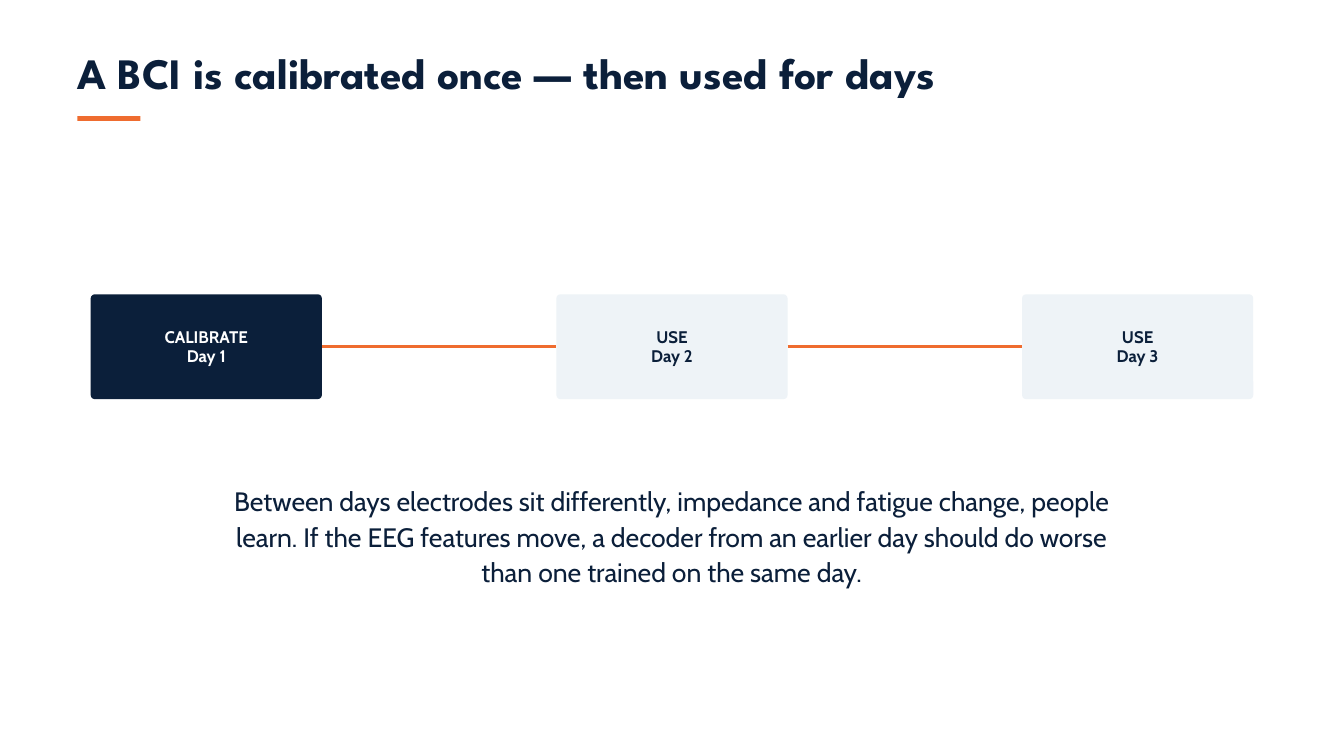
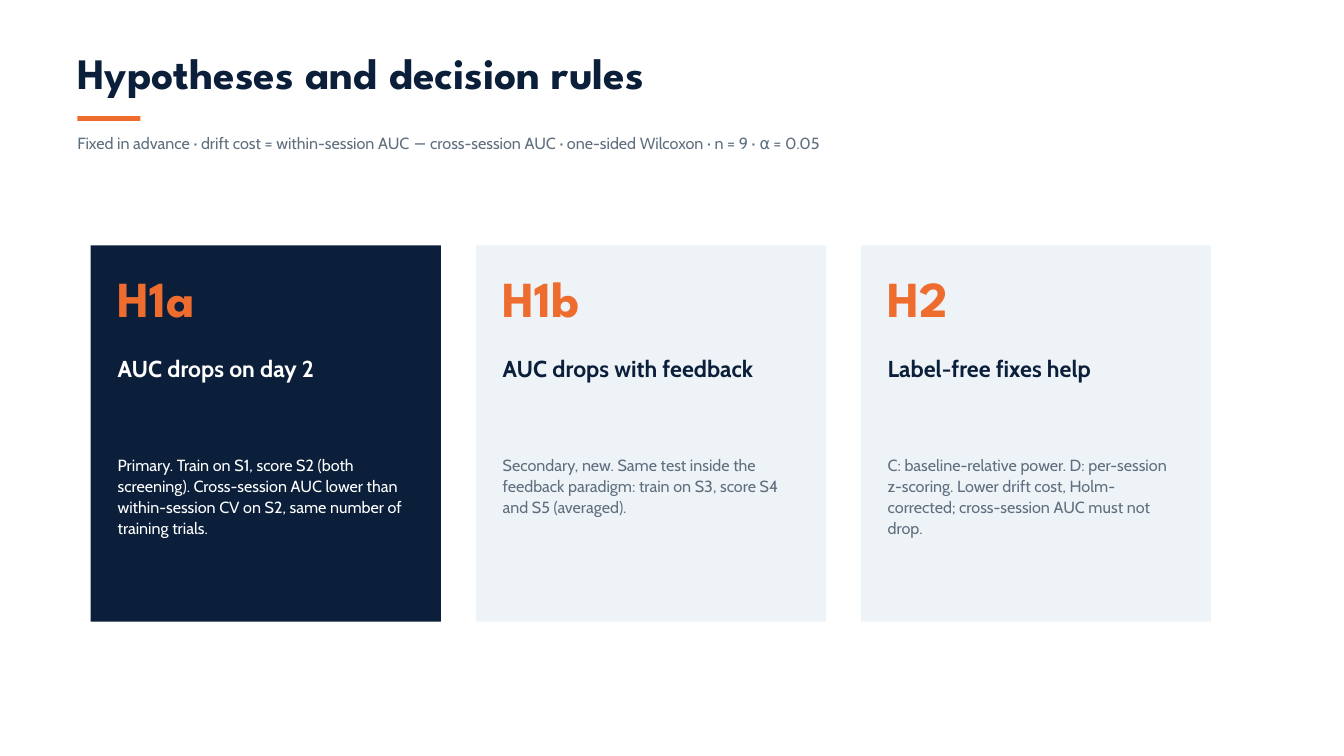
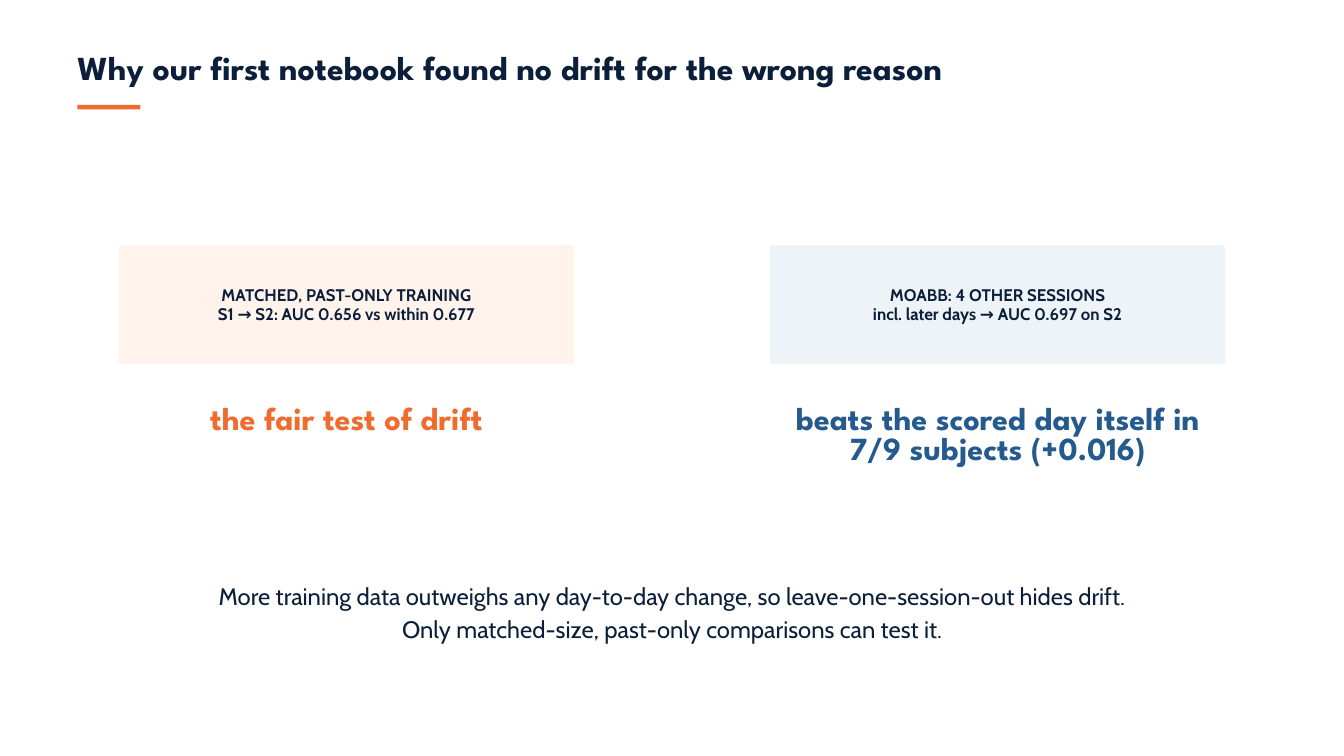
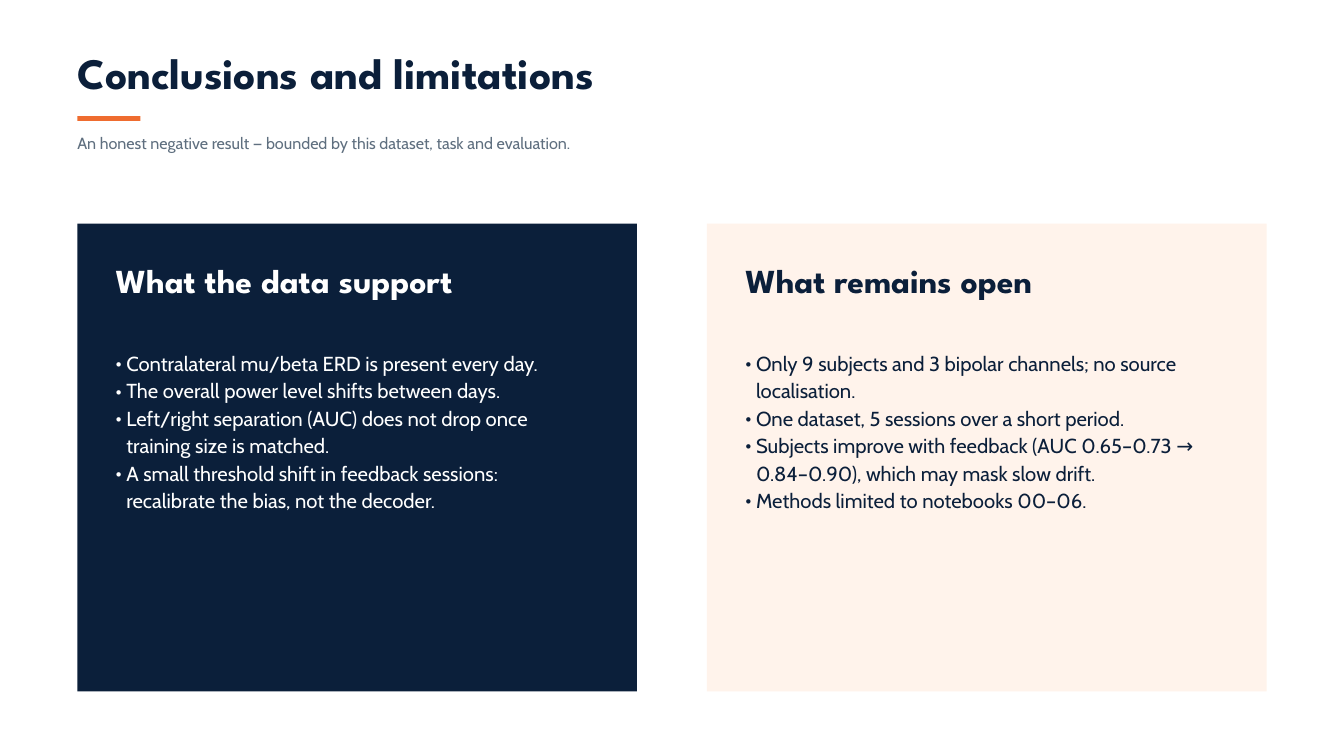
"""Build four slides on calibration drift in brain-computer interfaces."""
from typing import NamedTuple

from lxml import etree
from pptx import Presentation
from pptx.dml.color import RGBColor
from pptx.enum.shapes import MSO_CONNECTOR, MSO_SHAPE
from pptx.enum.text import MSO_ANCHOR, MSO_AUTO_SIZE, PP_ALIGN
from pptx.oxml.ns import qn
from pptx.util import Inches, Pt

LEFT, CENTER = PP_ALIGN.LEFT, PP_ALIGN.CENTER
TOP, MIDDLE = MSO_ANCHOR.TOP, MSO_ANCHOR.MIDDLE
RECT, ROUND = MSO_SHAPE.RECTANGLE, MSO_SHAPE.ROUNDED_RECTANGLE
STRAIGHT = MSO_CONNECTOR.STRAIGHT
NO_FIT = MSO_AUTO_SIZE.NONE

NAVY, ORANGE, BLUE = "0B1F3A", "EF6C2F", "245A8D"
GREY, WHITE, PALE, PEACH = "5F6F7F", "FFFFFF", "EEF3F7", "FFF3EB"
HEAD, BODY = "League Spartan", "Cabin"
MARGIN = 1.15
HANG = 0.16


class Box(NamedTuple):
    left: float
    top: float
    width: float
    height: float


class Style(NamedTuple):
    font: str
    size: float
    line: float
    bold: bool = False


class Step(NamedTuple):
    lines: list[str]
    fill: str
    ink: str


class Rule(NamedTuple):
    code: str
    claim: str
    detail: str
    fill: str
    ink: str
    soft: str


class Case(NamedTuple):
    lines: list[str]
    fill: str
    verdict: str
    tone: str


class Panel(NamedTuple):
    title: str
    points: list[str]
    fill: str
    ink: str


TITLE = Style(HEAD, 46.5, 48.8, True)
SMALL = Style(HEAD, 36, 37.8, True)
NOTE = Style(BODY, 17.25, 22.4)
LABEL = Style(BODY, 18, 20.7, True)
CODE = Style(HEAD, 54, 51.3, True)
CLAIM = Style(BODY, 24.75, 33.4, True)
VERDICT = Style(HEAD, 34.5, 32.8, True)
POINT = Style(BODY, 21.75, 29.4)

STEPS = [
    Step(["CALIBRATE", "Day 1"], NAVY, WHITE),
    Step(["USE", "Day 2"], PALE, NAVY),
    Step(["USE", "Day 3"], PALE, NAVY),
]
RULES = [
    Rule("H1a", "AUC drops on day 2",
         "Primary. Train on S1, score S2 (both screening). Cross-session AUC lower than "
         "within-session CV on S2, same number of training trials.",
         NAVY, WHITE, WHITE),
    Rule("H1b", "AUC drops with feedback",
         "Secondary, new. Same test inside the feedback paradigm: train on S3, score S4 "
         "and S5 (averaged).",
         PALE, NAVY, GREY),
    Rule("H2", "Label-free fixes help",
         "C: baseline-relative power. D: per-session z-scoring. Lower drift cost, "
         "Holm-corrected; cross-session AUC must not drop.",
         PALE, NAVY, GREY),
]
CASES = [
    Case(["MATCHED, PAST-ONLY TRAINING", "S1 → S2: AUC 0.656 vs within 0.677"],
         PEACH, "the fair test of drift", ORANGE),
    Case(["MOABB: 4 OTHER SESSIONS", "incl. later days → AUC 0.697 on S2"],
         PALE, "beats the scored day itself in 7/9 subjects (+0.016)", BLUE),
]
PANELS = [
    Panel("What the data support", [
        "Contralateral mu/beta ERD is present every day.",
        "The overall power level shifts between days.",
        "Left/right separation (AUC) does not drop once training size is matched.",
        "A small threshold shift in feedback sessions: recalibrate the bias, not the decoder.",
    ], NAVY, WHITE),
    Panel("What remains open", [
        "Only 9 subjects and 3 bipolar channels; no source localisation.",
        "One dataset, 5 sessions over a short period.",
        "Subjects improve with feedback (AUC 0.65–0.73 → 0.84–0.90), which may mask slow drift.",
        "Methods limited to notebooks 00–06.",
    ], PEACH, NAVY),
]


def paint(target, tone: str) -> None:
    if hasattr(target, "solid"):
        target.solid()
        target.fore_color.rgb = RGBColor.from_string(tone)
    else:
        target.rgb = RGBColor.from_string(tone)


def place(shape, box: Box) -> None:
    shape.left, shape.top, shape.width, shape.height = (Inches(v) for v in box)


def add_dot(para) -> None:
    props = para._p.get_or_add_pPr()
    props.set("marL", str(Inches(HANG)))
    props.set("indent", str(-Inches(HANG)))
    etree.SubElement(props, qn("a:buFont")).set("typeface", BODY)
    etree.SubElement(props, qn("a:buChar")).set("char", "•")


def write(frame, lines: list[str], style: Style, tone: str, align=LEFT,
          anchor=TOP, inset: float = 0, dots: bool = False) -> None:
    frame.word_wrap = True
    frame.auto_size = NO_FIT
    frame.vertical_anchor = anchor
    frame.margin_left = frame.margin_right = Inches(inset)
    frame.margin_top = frame.margin_bottom = Inches(inset)
    for index, line in enumerate(lines):
        para = frame.add_paragraph() if index else frame.paragraphs[0]
        para.alignment = align
        para.line_spacing = Pt(style.line)
        para.space_before = para.space_after = Pt(0)
        if dots:
            add_dot(para)
        run = para.add_run()
        run.text = line
        run.font.name = style.font
        run.font.size = Pt(style.size)
        run.font.bold = style.bold
        paint(run.font.color, tone)


def add_text(slide, box: Box, lines: list[str], style: Style, tone: str,
             align=LEFT, dots: bool = False) -> None:
    shape = slide.shapes.add_textbox(*(Inches(v) for v in box))
    write(shape.text_frame, lines, style, tone, align, dots=dots)


def add_block(slide, box: Box, fill: str, radius: float = 0):
    kind = ROUND if radius else RECT
    shape = slide.shapes.add_shape(kind, *(Inches(v) for v in box))
    if radius:
        shape.adjustments[0] = radius / box.height
    shape.shadow.inherit = False
    paint(shape.fill, fill)
    shape.line.fill.background()
    return shape


def add_label(slide, box: Box, lines: list[str], fill: str, ink: str, radius: float):
    shape = add_block(slide, box, fill, radius)
    write(shape.text_frame, lines, LABEL, ink, CENTER, MIDDLE, 0.06)
    return shape


def add_link(slide, start, end) -> None:
    link = slide.shapes.add_connector(STRAIGHT, 0, 0, 0, 0)
    link.begin_connect(start, 3)
    link.end_connect(end, 1)
    paint(link.line.fill, ORANGE)
    link.line.width = Pt(3.75)
    etree.SubElement(link._element.spPr, qn("a:effectLst"))


def add_slide(deck, title: str, note: str = "", style: Style = TITLE, bar: float = 1.73):
    slide = deck.slides.add_slide(deck.slide_layouts[5])
    place(slide.shapes.title, Box(MARGIN, 0.78, 15.62, 0.7))
    write(slide.shapes.title.text_frame, [title], style, NAVY)
    add_block(slide, Box(MARGIN, bar, 0.94, 0.07), ORANGE)
    if note:
        add_text(slide, Box(MARGIN, 1.96, 15.62, 0.3), [note], NOTE, GREY)
    return slide


def build_use(deck) -> None:
    slide = add_slide(deck, "A BCI is calibrated once — then used for days")
    last = None
    for index, step in enumerate(STEPS):
        box = Box(1.35 + 6.93 * index, 4.38, 3.44, 1.56)
        shape = add_label(slide, box, step.lines, step.fill, step.ink, 0.06)
        if last:
            add_link(slide, last, shape)
        last = shape
    add_text(slide, Box(3.12, 7.15, 13.75, 1.58), [
        "Between days electrodes sit differently, impedance and fatigue change, people "
        "learn. If the EEG features move, a decoder from an earlier day should do worse "
        "than one trained on the same day."], Style(BODY, 28.5, 38.5), NAVY, CENTER)


def build_rules(deck) -> None:
    slide = add_slide(
        deck, "Hypotheses and decision rules",
        "Fixed in advance · drift cost = within-session AUC − cross-session AUC · "
        "one-sided Wilcoxon · n = 9 · α = 0.05")
    for index, rule in enumerate(RULES):
        left = 1.35 + 5.73 * index
        inner = left + 0.4
        add_block(slide, Box(left, 3.65, 5.21, 5.6), rule.fill)
        add_text(slide, Box(inner, 4.16, 4.38, 0.79), [rule.code], CODE, ORANGE)
        add_text(slide, Box(inner, 5.23, 4.38, 0.44), [rule.claim], CLAIM, rule.ink)
        add_text(slide, Box(inner, 6.76, 4.38, 1.2), [rule.detail], NOTE, rule.soft)


def build_cases(deck) -> None:
    slide = add_slide(deck, "Why our first notebook found no drift for the wrong reason",
                      style=SMALL, bar=1.56)
    for index, case in enumerate(CASES):
        left = 1.77 + 9.69 * index
        add_label(slide, Box(left, 3.65, 6.77, 1.77), case.lines, case.fill, NAVY, 0.03)
        add_text(slide, Box(left, 6.04, 6.77, 0.91), [case.verdict], VERDICT, case.tone, CENTER)
    add_text(slide, Box(2.92, 8.61, 14.17, 0.92), [
        "More training data outweighs any day-to-day change, so leave-one-session-out "
        "hides drift. Only matched-size, past-only comparisons can test it."],
        Style(BODY, 25.5, 34.4), NAVY, CENTER)


def build_end(deck) -> None:
    slide = add_slide(deck, "Conclusions and limitations",
                      "An honest negative result — bounded by this dataset, task and evaluation.")
    for index, panel in enumerate(PANELS):
        left = MARGIN + 9.37 * index
        inner = left + 0.57
        add_block(slide, Box(left, 3.33, 8.33, 6.96), panel.fill)
        add_text(slide, Box(inner, 3.95, 7.19, 0.55), [panel.title], SMALL, panel.ink)
        add_text(slide, Box(inner, 5.18, 6.98, 2.42), panel.points, POINT, panel.ink, dots=True)


def main() -> None:
    deck = Presentation()
    deck.slide_width, deck.slide_height = Inches(20), Inches(11.25)
    for build in (build_use, build_rules, build_cases, build_end):
        build(deck)
    deck.save("out.pptx")


if __name__ == "__main__":
    main()
